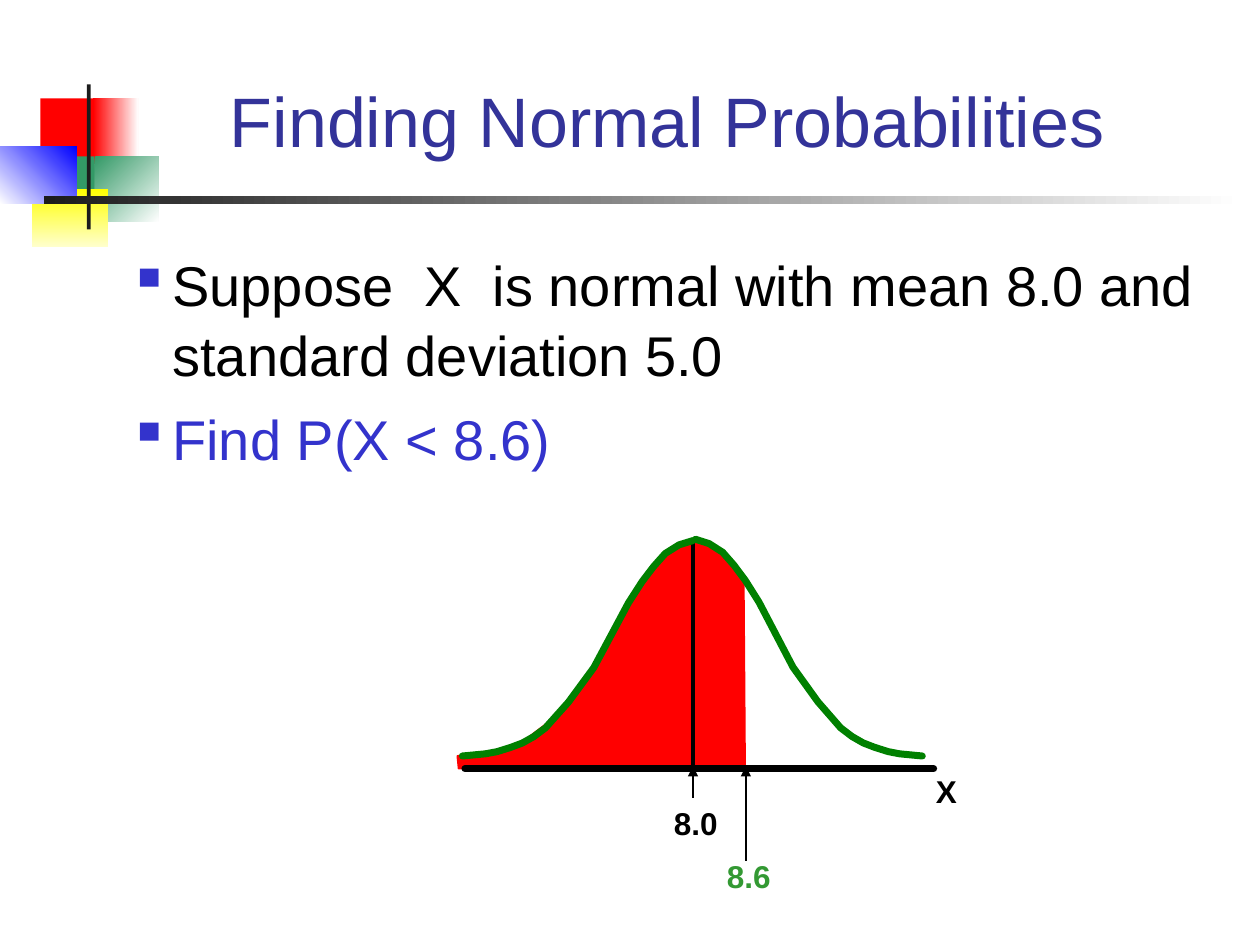
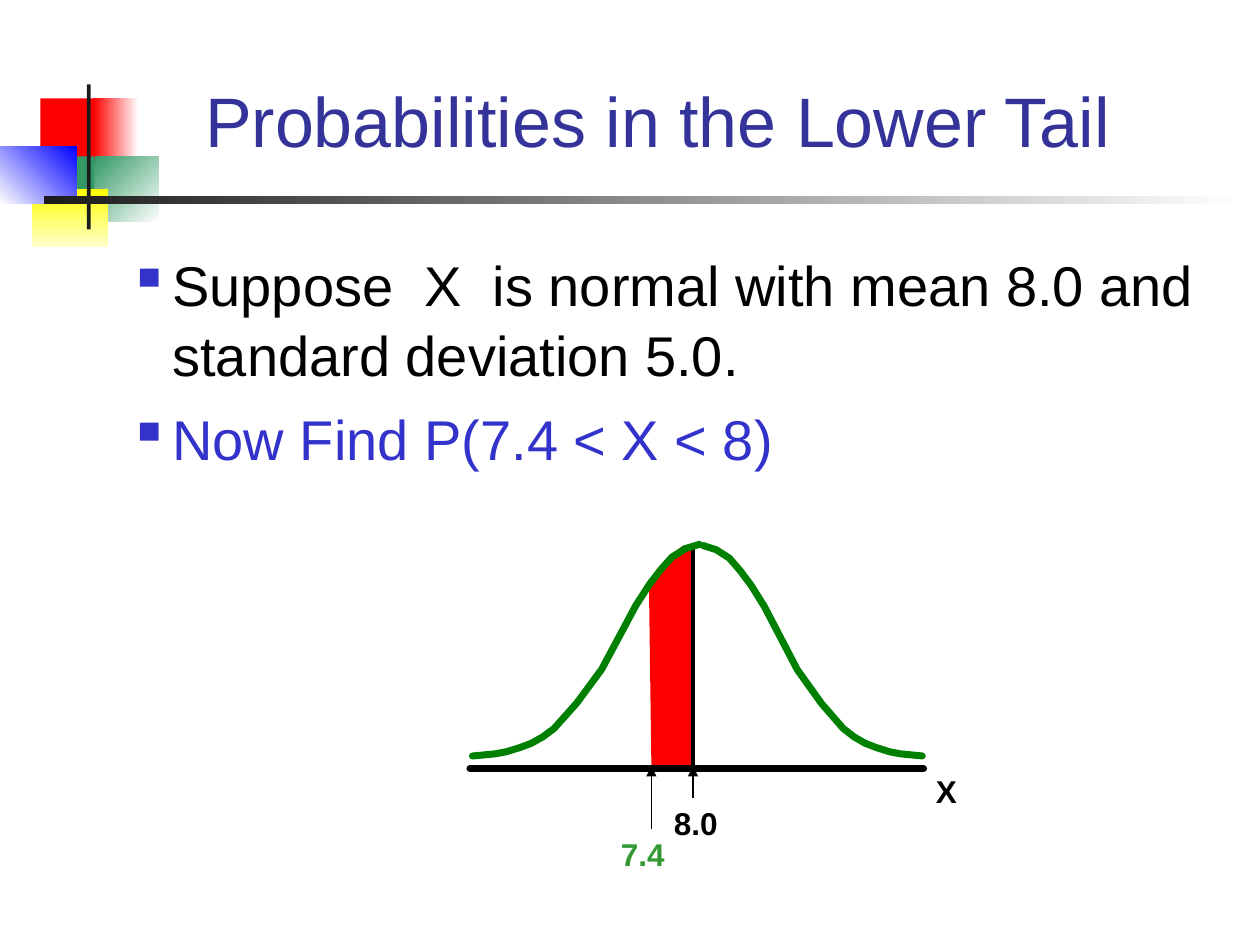
from lxml import etree
from pptx import Presentation
from pptx.dml.color import RGBColor
from pptx.enum.shapes import MSO_CONNECTOR as CONNECTOR, MSO_SHAPE as SHAPE
from pptx.enum.text import MSO_ANCHOR as ANCHOR, MSO_AUTO_SIZE as AUTO_SIZE, PP_ALIGN as ALIGN
from pptx.oxml.ns import qn
from pptx.util import Inches, Pt

FONT = "Arial"
BLACK, RED, INK, WHITE = "000000", "FF0000", "1C1C1C", "FFFFFF"
TITLE_BLUE, BULLET_BLUE = "333399", "3333CC"
CURVE_GREEN, LABEL_GREEN = "008000", "339933"

TITLE_BOX = (1.26, 0.25, 8.07, 1.08)
BODY_BOX = (0.92, 1.92, 8.83, 4.96)
DIAGRAM_BOX = (3.5, 4.25, 4.25, 2.9)

# Left, top, width, height, colours from start to end, clockwise gradient angle
BAND_PARTS = [
    (0.32, 0.78, 0.48, 0.52, [RED], 0),
    (0.74, 0.78, 0.36, 0.52, [RED, WHITE], 0),
    (0.75, 1.24, 0.51, 0.52, ["339966", WHITE], 45),
    (0.43, 1.24, 0.32, 0.52, ["339966"], 0),
    (0.25, 1.5, 0.61, 0.46, ["FFFF00", "FFFFCC"], 90),
    (0, 1.16, 0.61, 0.46, [WHITE, "0000FF"], 315),
    (0.69, 0.67, 0.03, 1.15, [INK], 0),
    (0.35, 1.56, 9.51, 0.06, [INK, WHITE], 0),
]

# Half a bell curve: share of the way from tail to peak, share of the height
HALF_BELL = [
    (0, 0), (0.1, 0.01), (0.15, 0.02), (0.21, 0.04), (0.26, 0.06), (0.31, 0.09),
    (0.36, 0.13), (0.46, 0.25), (0.57, 0.41), (0.67, 0.61), (0.72, 0.71),
    (0.78, 0.81), (0.83, 0.88), (0.88, 0.94), (0.94, 0.98), (1, 1),
]

# Diagram places are measured from the corner of DIAGRAM_BOX
TAIL_Y, AXIS_Y, ARROW_Y = 1.75, 1.85, 1.83
MEAN_X = 2.0

LEFT_AREA = [
    (2, 1.83), (2.04, 0.02), (1.76, 0.15), (1.6, 0.37), (1.47, 0.59), (1.34, 0.84),
    (1.24, 1.01), (1.11, 1.2), (1.03, 1.33), (0.87, 1.47), (0.59, 1.68),
    (0.13, 1.75), (0.14, 1.85),
]
ABOVE_MEAN_AREA = [
    (2.01, 0.04), (2, 1.84), (2.42, 1.85), (2.41, 0.39), (2.35, 0.29),
    (2.3, 0.22), (2.18, 0.08),
]
BELOW_MEAN_AREA = [
    (1.67, 1.83), (1.65, 0.37), (1.7, 0.3), (1.76, 0.22), (1.82, 0.16),
    (1.87, 0.12), (1.92, 0.08), (2, 0.08), (2, 1.83),
]

SLIDES = [
    {
        "title": "Finding Normal Probabilities",
        "bullets": ["Suppose  X  is normal with mean 8.0 and standard deviation 5.0",
                    "Find P(X < 8.6)"],
        "areas": [(ABOVE_MEAN_AREA, 0), (LEFT_AREA, 1)],
        "halves": [(3.82, 2.02, 0.03), (0.17, 2, 0.04)],
        "axis": (0.19, 3.91),
        "mean_top": 0.05,
        "bound": ("8.6", 2.42, 2.58, (2.17, 2.5)),
    },
    {
        "title": "Probabilities in the Lower Tail ",
        "bullets": ["Suppose  X  is normal with mean 8.0 and standard deviation 5.0.",
                    "Now Find P(7.4 < X < 8)"],
        "areas": [(BELOW_MEAN_AREA, 0)],
        "halves": [(3.82, 2.08, 0.08), (0.25, 2.05, 0.07)],
        "axis": (0.23, 3.83),
        "mean_top": 0.08,
        "bound": ("7.4", 1.67, 2.33, (1.33, 2.33)),
    },
]


def color(hex_string):
    return RGBColor.from_string(hex_string)


def style_line(line, hex_string, width, arrow=False):
    line.color.rgb = color(hex_string)
    line.width = Pt(width)
    properties = line._get_or_add_ln()
    if arrow:
        etree.SubElement(properties, qn("a:tailEnd"), type="triangle")
    else:
        properties.set("cap", "rnd")
        etree.SubElement(properties, qn("a:round"))


def add_run(paragraph, text, size, hex_string, bold=False):
    run = paragraph.add_run()
    run.text = text
    run.font.name = FONT
    run.font.size = Pt(size)
    run.font.bold = bold
    run.font.color.rgb = color(hex_string)


def add_text_frame(slide, box):
    frame = slide.shapes.add_textbox(*map(Inches, box)).text_frame
    frame.word_wrap = True
    return frame


def add_band(slide):
    """Coloured squares and the fading rule beside the title."""
    for *box, colors, angle in BAND_PARTS:
        shape = slide.shapes.add_shape(SHAPE.RECTANGLE, *map(Inches, box))
        shape.shadow.inherit = False
        shape.line.fill.background()
        if len(colors) == 1:
            shape.fill.solid()
            shape.fill.fore_color.rgb = color(colors[0])
        else:
            shape.fill.gradient()
            shape.fill.gradient_angle = -angle % 360
            for stop, hex_string in zip(shape.fill.gradient_stops, colors):
                stop.color.rgb = color(hex_string)


def add_title(slide, box, text):
    frame = add_text_frame(slide, box)
    frame.vertical_anchor = ANCHOR.BOTTOM
    paragraph = frame.paragraphs[0]
    paragraph.alignment = ALIGN.CENTER
    add_run(paragraph, text, 40, TITLE_BLUE)


def add_bullets(slide, box, texts):
    frame = add_text_frame(slide, box)
    for index, (text, text_color) in enumerate(zip(texts, (BLACK, BULLET_BLUE))):
        paragraph = frame.add_paragraph() if index else frame.paragraphs[0]
        paragraph.space_before = Pt(8)
        paragraph.line_spacing = 1.04
        properties = paragraph._p.get_or_add_pPr()
        properties.set("marL", str(Inches(0.35)))
        properties.set("indent", str(Inches(-0.35)))
        bullet_color = etree.SubElement(properties, qn("a:buClr"))
        etree.SubElement(bullet_color, qn("a:srgbClr"), val=BULLET_BLUE)
        etree.SubElement(properties, qn("a:buChar"), char="▪")
        add_run(paragraph, text, 32, text_color)


def add_outline(slide, box, points, close):
    corners = [(Inches(box[0] + x), Inches(box[1] + y)) for x, y in points]
    builder = slide.shapes.build_freeform(*corners[0], scale=1.0)
    builder.add_line_segments(corners[1:], close=close)
    shape = builder.convert_to_shape()
    shape.shadow.inherit = False
    return shape


def add_area(slide, box, points, line_width):
    shape = add_outline(slide, box, points, close=True)
    shape.fill.solid()
    shape.fill.fore_color.rgb = color(RED)
    if line_width:
        style_line(shape.line, RED, line_width)
    else:
        shape.line.fill.background()


def add_half_curve(slide, box, tail_x, peak_x, peak_y):
    points = [(tail_x + (peak_x - tail_x) * along, TAIL_Y + (peak_y - TAIL_Y) * up)
              for along, up in HALF_BELL]
    shape = add_outline(slide, box, points, close=False)
    shape.fill.background()
    style_line(shape.line, CURVE_GREEN, 4)


def add_line(slide, box, start, end, width, arrow=False):
    (x1, y1), (x2, y2) = start, end
    left, top = box[:2]
    connector = slide.shapes.add_connector(
        CONNECTOR.STRAIGHT, Inches(left + x1), Inches(top + y1),
        Inches(left + x2), Inches(top + y2))
    style_line(connector.line, BLACK, width, arrow)
    etree.SubElement(connector._element.spPr, qn("a:effectLst"))


def add_label(slide, box, place, text, hex_string, width=0.55):
    frame = add_text_frame(slide, (box[0] + place[0], box[1] + place[1], width, 0.4))
    frame.word_wrap = False
    frame.auto_size = AUTO_SIZE.SHAPE_TO_FIT_TEXT
    add_run(frame.paragraphs[0], text, 18, hex_string, bold=True)


def add_diagram(slide, box, content):
    """Bell curve with shaded area, axis, mean and bound."""
    for points, line_width in content["areas"]:
        add_area(slide, box, points, line_width)
    add_line(slide, box, (MEAN_X, content["mean_top"]), (MEAN_X, ARROW_Y), 2.5)
    for half in content["halves"]:
        add_half_curve(slide, box, *half)
    axis_start, axis_end = content["axis"]
    add_line(slide, box, (axis_start, AXIS_Y), (axis_end, AXIS_Y), 4)

    # Labels and the arrows that point up to the axis
    bound, bound_x, arrow_start, bound_place = content["bound"]
    add_label(slide, box, (3.83, 1.83), "X", BLACK, width=0.42)
    add_label(slide, box, bound_place, bound, LABEL_GREEN)
    add_label(slide, box, (1.75, 2.08), "8.0", BLACK)
    for x, start_y in ((MEAN_X, 2.08), (bound_x, arrow_start)):
        add_line(slide, box, (x, start_y), (x, ARROW_Y), 1, arrow=True)


def add_probability_slide(presentation, content):
    slide = presentation.slides.add_slide(presentation.slide_layouts[6])
    add_band(slide)
    add_title(slide, TITLE_BOX, content["title"])
    add_bullets(slide, BODY_BOX, content["bullets"])
    add_diagram(slide, DIAGRAM_BOX, content)


def main():
    presentation = Presentation()
    presentation.slide_width = Inches(10)
    presentation.slide_height = Inches(7.5)
    for content in SLIDES:
        add_probability_slide(presentation, content)
    presentation.save("out.pptx")


if __name__ == "__main__":
    main()
